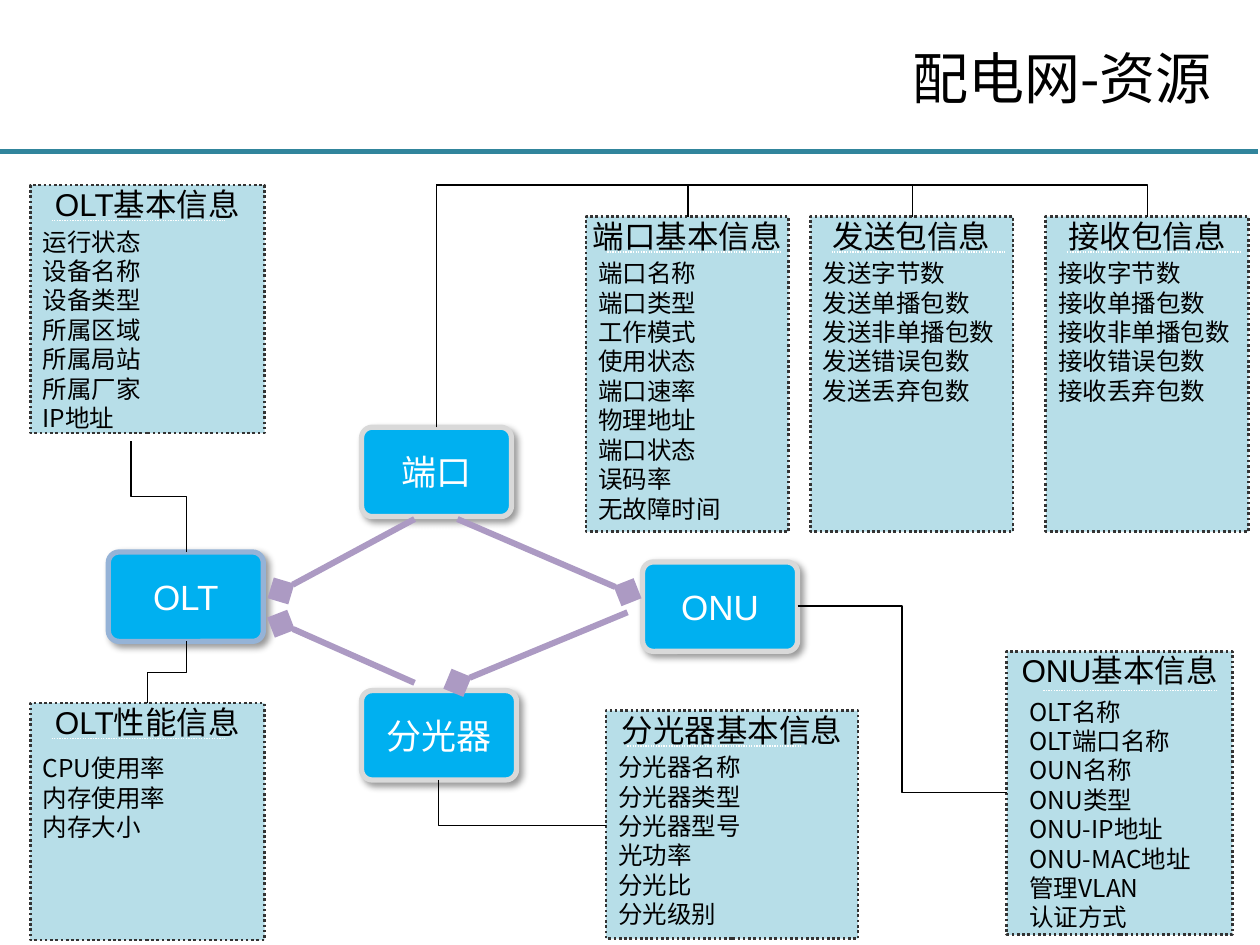
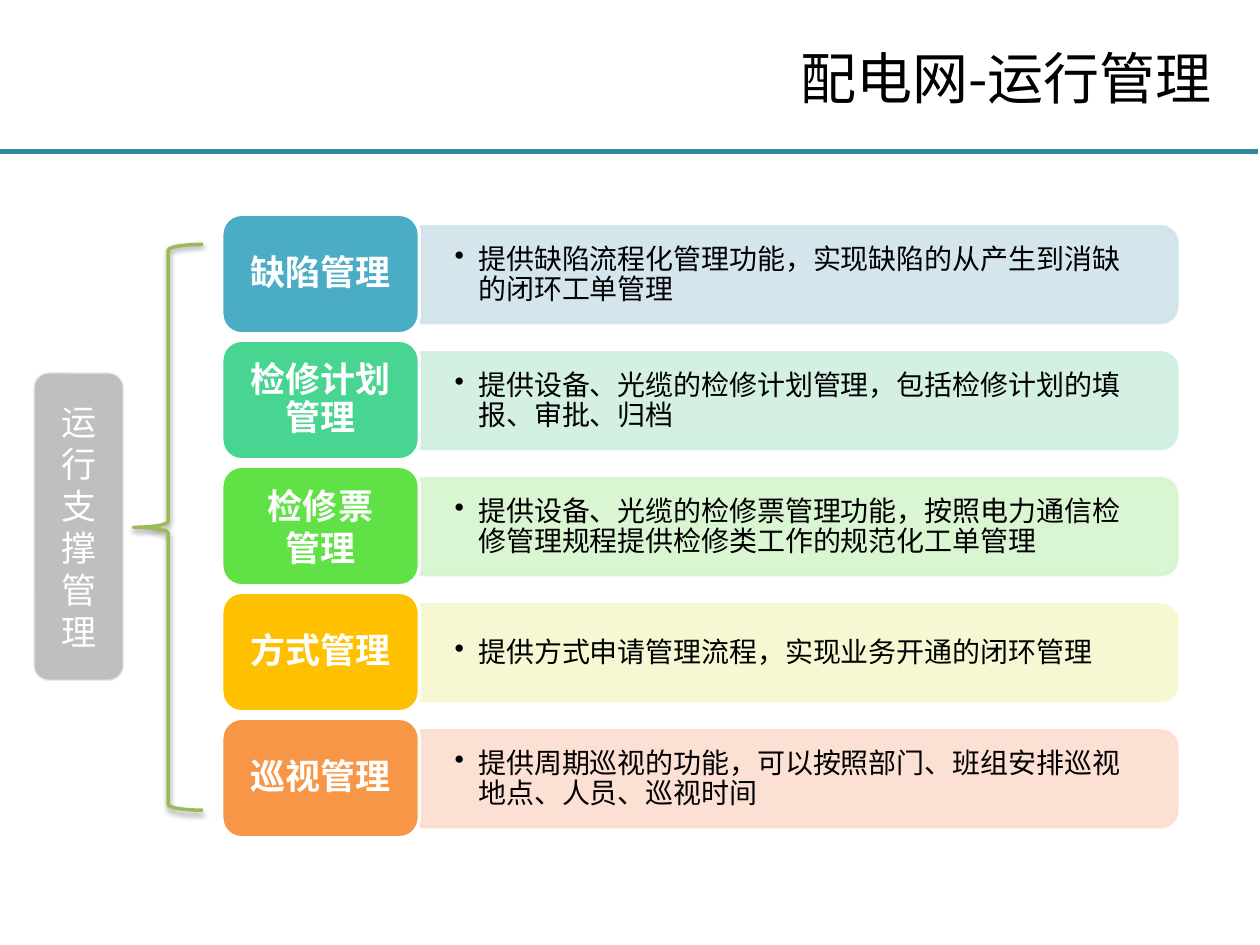
from dataclasses import dataclass

from lxml.etree import SubElement
from pptx import Presentation
from pptx.dml.color import RGBColor
from pptx.enum.dml import MSO_LINE
from pptx.enum.shapes import MSO_CONNECTOR, MSO_SHAPE
from pptx.enum.text import MSO_ANCHOR, PP_ALIGN
from pptx.oxml.ns import qn
from pptx.util import Pt

Point = tuple[float, float]
Box = tuple[float, float, float, float]


@dataclass(frozen=True)
class Theme:
    black: str = "000000"
    white: str = "FFFFFF"
    band: str = "31859C"
    node: str = "00B0F0"
    rim: str = "D9D9D9"
    rimblue: str = "95B3D7"
    link: str = "AC9AC3"
    panel: str = "B7DEE8"
    dots: str = "333333"
    gray: str = "BFBFBF"
    cream: str = "EEECE1"
    brace: str = "9BBB59"
    sans: str = "Arial"
    han: str = "Noto Sans CJK SC"
    title: int = 32
    label: int = 20
    head: int = 18
    text: int = 16
    small: int = 14


@dataclass(frozen=True)
class Shadow:
    alpha: int
    blur: float
    dist: float
    angle: int


@dataclass(frozen=True)
class Node:
    name: str
    box: Box
    rim: str


@dataclass(frozen=True)
class Panel:
    head: str
    rows: str
    box: Box
    rule: Point = (12.2, 20.2)
    list: Point = (0, 20.2)


@dataclass(frozen=True)
class Elbow:
    start: Point
    end: Point
    bend: float = 0.5
    upright: bool = True


@dataclass(frozen=True)
class Task:
    name: str
    text: str
    color: str
    tint: str


THEME = Theme()
SOFT = Shadow(40, 4, 3, 45)
DROP = Shadow(38, 3.1, 1.6, 90)

NODES = [
    Node("OLT", (61.9, 315.4, 88.6, 51.1), THEME.rimblue),
    Node("ONU", (367.2, 321.1, 88.6, 51.1), THEME.rim),
    Node("分光器", (206.6, 394.6, 88.6, 51.1), THEME.rim),
    Node("端口", (206.6, 244.1, 85.7, 51.1), THEME.rim),
]

LINKS = [
    ((160.6, 356.4), (236.9, 390.2)),
    ((261.4, 390.2), (358.6, 349.9)),
    ((160.6, 337.7), (236.9, 296.6)),
    ((358.6, 338.4), (261.4, 296.6)),
]

PANELS = [
    Panel("OLT基本信息", "运行状态\n设备名称\n设备类型\n所属区域\n所属局站\n所属厂家\nIP地址",
          (17.3, 105.8, 133.9, 141.8)),
    Panel("OLT性能信息", "CPU使用率\n内存使用率\n内存大小",
          (17.3, 401.8, 133.9, 135.4), list=(0, 25.2)),
    Panel("端口基本信息",
          "端口名称\n端口类型\n工作模式\n使用状态\n端口速率\n物理地址\n端口状态\n误码率\n无故障时间",
          (334.8, 123.8, 115.9, 180)),
    Panel("发送包信息",
          "发送字节数\n发送单播包数\n发送非单播包数\n发送错误包数\n发送丢弃包数",
          (463, 123.8, 115.9, 180)),
    Panel("接收包信息",
          "接收字节数\n接收单播包数\n接收非单播包数\n接收错误包数\n接收丢弃包数",
          (597.6, 123.8, 115.9, 180)),
    Panel("ONU基本信息",
          "OLT名称\nOLT端口名称\nOUN名称\nONU类型\nONU-IP地址\nONU-MAC地址\n管理VLAN\n认证方式",
          (575.3, 372.2, 128.9, 162), (20.9, 22.3), (5.8, 22.3)),
    Panel("分光器基本信息", "分光器名称\n分光器类型\n分光器型号\n光功率\n分光比\n分光级别",
          (346.3, 406.1, 144, 130.3)),
]

PORT = (249.4, 244.1)
ELBOWS = [
    Elbow((74.9, 252), (106.6, 315.4)),
    *(Elbow(PORT, (x, 123.8), 1.15) for x in (655.9, 521.3, 393.1)),
    Elbow((106.6, 366.5), (84.2, 401.8)),
    Elbow((455.8, 346.3), (575.3, 452.9), upright=False),
    Elbow((250.6, 445.7), (346.3, 471.6), 1),
]

TASKS = [
    Task("缺陷管理", "提供缺陷流程化管理功能，实现缺陷的从产生到消缺的闭环工单管理",
         "4BACC6", "D0E3EA"),
    Task("检修计划管理", "提供设备、光缆的检修计划管理，包括检修计划的填报、审批、归档",
         "48D491", "CFEFE1"),
    Task("检修票\n管理", "提供设备、光缆的检修票管理功能，按照电力通信检修管理规程提供检修类工作的规范化工单管理",
         "60E146", "D6F4CE"),
    Task("方式管理", "提供方式申请管理流程，实现业务开通的闭环管理",
         "FFC000", "F6F8CF"),
    Task("巡视管理", "提供周期巡视的功能，可以按照部门、班组安排巡视地点、人员、巡视时间",
         "F79646", "FCDDCF"),
]


def write(shape, text: str, *, size: int, color: str = THEME.black, face: str = THEME.han,
          bold: bool = False, align=PP_ALIGN.LEFT, anchor=MSO_ANCHOR.MIDDLE,
          inset: Point = (7.2, 3.6), wrap: bool = True, space: float = 1,
          bullet: float = 0) -> None:
    frame = shape.text_frame
    frame.word_wrap = wrap
    frame.vertical_anchor = anchor
    frame.margin_left = frame.margin_right = Pt(inset[0])
    frame.margin_top = frame.margin_bottom = Pt(inset[1])
    for i, line in enumerate(text.split("\n")):
        para = frame.add_paragraph() if i else frame.paragraphs[0]
        para.alignment = align
        para.line_spacing = space
        para.space_before = Pt(0)
        if bullet:
            props = para._p.get_or_add_pPr()
            props.set("marL", str(Pt(bullet)))
            props.set("indent", str(-Pt(bullet)))
            SubElement(props, qn("a:buChar")).set("char", "•")
        run = para.add_run()
        run.text = line
        run.font.size = Pt(size)
        run.font.bold = bold
        run.font.color.rgb = RGBColor.from_string(color)
        run.font.name = face
        SubElement(run._r.get_or_add_rPr(), qn("a:ea")).set("typeface", THEME.han)


def cast(shape, shade: Shadow) -> None:
    effect = shape._element.spPr.find(qn("a:effectLst"))
    outer = SubElement(effect, qn("a:outerShdw"), blurRad=str(Pt(shade.blur)),
                       dist=str(Pt(shade.dist)), dir=str(shade.angle * 60000),
                       algn="ctr", rotWithShape="0")
    color = SubElement(outer, qn("a:srgbClr"), val=THEME.black)
    SubElement(color, qn("a:alpha"), val=str(shade.alpha * 1000))


def draw(slide, kind, box: Box, fill: str | None, line: str, width: float):
    shape = slide.shapes.add_shape(kind, *map(Pt, box))
    shape.shadow.inherit = False
    if fill:
        shape.fill.solid()
        shape.fill.fore_color.rgb = RGBColor.from_string(fill)
    else:
        shape.fill.background()
    shape.line.color.rgb = RGBColor.from_string(line)
    shape.line.width = Pt(width)
    return shape


def join(slide, start: Point, end: Point, color: str, width: float,
         kind=MSO_CONNECTOR.STRAIGHT):
    wire = slide.shapes.add_connector(kind, *map(Pt, (*start, *end)))
    wire.line.color.rgb = RGBColor.from_string(color)
    wire.line.width = Pt(width)
    SubElement(wire._element.spPr, qn("a:effectLst"))
    return wire


def link(slide, start: Point, end: Point) -> None:
    wire = join(slide, start, end, THEME.link, 3.5)
    tip = wire.line._get_or_add_ln()
    SubElement(tip, qn("a:headEnd"), type="diamond", w="lg", len="lg")


def bend(slide, elbow: Elbow) -> None:
    (x1, y1), (x2, y2) = start, end = elbow.start, elbow.end
    if elbow.upright:
        midx, midy = (x1 + x2) / 2, (y1 + y2) / 2
        dx, dy = (x2 - x1) / 2, (y2 - y1) / 2
        start, end = (midx - dy, midy + dx), (midx + dy, midy - dx)
    wire = join(slide, start, end, THEME.black, 0.75, MSO_CONNECTOR.ELBOW)
    props = wire._element.spPr
    if elbow.upright:
        props.find(qn("a:xfrm")).set("rot", str(90 * 60000))
    guides = props.find(qn("a:prstGeom")).find(qn("a:avLst"))
    SubElement(guides, qn("a:gd"), name="adj1", fmla=f"val {round(elbow.bend * 100000)}")


def place(slide, panel: Panel) -> None:
    left, top, width, height = panel.box
    card = draw(slide, MSO_SHAPE.RECTANGLE, panel.box, THEME.panel, THEME.dots, 1.5)
    card.line.dash_style = MSO_LINE.ROUND_DOT
    write(card, panel.head, size=THEME.head, face=THEME.sans, align=PP_ALIGN.CENTER,
          anchor=MSO_ANCHOR.TOP, inset=(2.9, 0))
    x, y = left + panel.rule[0], top + panel.rule[1]
    rule = join(slide, (x, y), (x + 99, y), THEME.white, 0.75)
    rule.line.dash_style = MSO_LINE.ROUND_DOT
    dx, dy = panel.list
    rows = slide.shapes.add_textbox(*map(Pt, (left + dx, top + dy, width, height - dy)))
    write(rows, panel.rows, size=THEME.small, anchor=MSO_ANCHOR.TOP)


def start(deck, title: str):
    slide = deck.slides.add_slide(deck.slide_layouts[5])
    join(slide, (0, 86.4), (718.6, 86.4), THEME.band, 3)
    head = slide.shapes.title
    head.left, head.top, head.width, head.height = map(Pt, (57.6, 11.5, 642.2, 65.5))
    write(head, title, size=THEME.title, align=PP_ALIGN.RIGHT)
    return slide


def assets(deck) -> None:
    slide = start(deck, "配电网-资源")
    for panel in PANELS:
        place(slide, panel)
    for node in NODES:
        shape = draw(slide, MSO_SHAPE.ROUNDED_RECTANGLE, node.box, THEME.node, node.rim, 3)
        shape.adjustments[0] = 0.12
        cast(shape, SOFT)
        write(shape, node.name, size=THEME.label, color=THEME.white, face=THEME.sans,
              align=PP_ALIGN.CENTER, wrap=False)
    for ends in LINKS:
        link(slide, *ends)
    for elbow in ELBOWS:
        bend(slide, elbow)


def tasks(deck) -> None:
    slide = start(deck, "配电网-运行管理")
    for i, task in enumerate(TASKS):
        step = 72 * i
        bar = draw(slide, MSO_SHAPE.ROUND_2_SAME_RECTANGLE, (429.1, step - 59, 54.7, 432),
                   task.tint, task.tint, 2)
        bar.rotation = 90
        for color in bar._element.spPr.iter(qn("a:srgbClr")):
            SubElement(color, qn("a:alpha"), val="90000")
        note = slide.shapes.add_textbox(*map(Pt, (240.5, 132.5 + step, 429.1, 49.7)))
        write(note, task.text, size=THEME.text, inset=(19.4, 10.1), space=0.9, bullet=13.5)
        tag = draw(slide, MSO_SHAPE.ROUNDED_RECTANGLE, (126.7, 122.4 + step, 113, 68.4),
                   task.color, THEME.white, 2)
        write(tag, task.name, size=THEME.label, color=THEME.white, bold=True,
              align=PP_ALIGN.CENTER, inset=(5.8, 2.9),
              space=1 if "\n" in task.name else 0.9)
    root = draw(slide, MSO_SHAPE.ROUNDED_RECTANGLE, (19.4, 213.1, 51.1, 175.7),
                THEME.gray, THEME.cream, 0.75)
    write(root, "运行支撑管理", size=THEME.label, color=THEME.white, face=THEME.sans,
          align=PP_ALIGN.CENTER)
    brace = draw(slide, MSO_SHAPE.LEFT_BRACE, (76.3, 139.7, 39.6, 323.3),
                 None, THEME.brace, 2)
    cast(brace, DROP)


def main() -> None:
    deck = Presentation()
    deck.slide_width, deck.slide_height = Pt(720), Pt(540)
    assets(deck)
    tasks(deck)
    deck.save("out.pptx")


if __name__ == "__main__":
    main()
